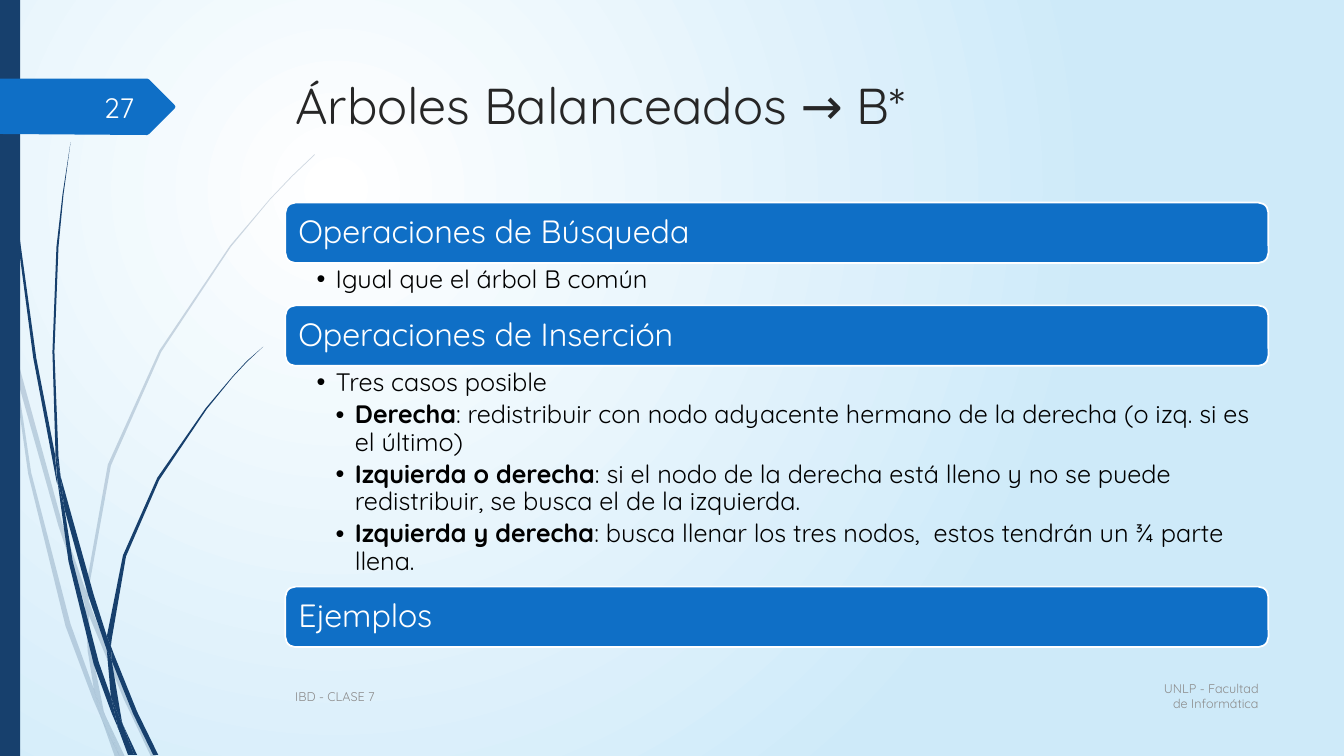
from lxml.etree import SubElement
from pptx import Presentation
from pptx.dml.color import RGBColor
from pptx.enum.shapes import MSO_SHAPE
from pptx.enum.text import MSO_ANCHOR, PP_ALIGN
from pptx.oxml.ns import qn
from pptx.util import Pt

PX = 9144  # 100 px to the inch
FONT = "Quicksand"
NAVY, BLUE, WHITE, GREY = "17406D", "0F6FC6", "FFFFFF", "8C8C8C"
LEFT, WIDE = 283, 975
BAR = 60
STEP = 19

# Outlines of the blades of grass
PALE = [
    [(11, 350), (9, 322), (0, 282), (0, 299), (10, 344)],
    [(58, 522), (84, 599), (85, 586), (62, 520), (14, 345), (17, 376)],
    [(92, 607), (88, 596), (88, 610), (123, 694), (150, 751), (155, 751), (127, 692)],
    [(119, 751), (124, 751), (105, 711)],
    [(93, 683), (70, 619), (31, 469), (17, 376), (11, 350), (28, 470), (65, 621),
     (92, 693), (101, 714), (99, 707)],
    [(84, 599), (87, 646), (93, 683), (96, 692), (105, 711), (103, 706), (91, 646),
     (88, 610), (88, 608)],
    [(88, 584), (110, 462), (160, 349), (229, 245), (268, 198), (290, 175), (312, 154),
     (312, 153), (289, 175), (268, 197), (228, 244), (158, 348), (107, 461), (85, 584),
     (85, 586), (88, 596)],
    [(101, 714), (114, 751), (119, 751)],
    [(88, 608), (88, 610), (88, 596), (85, 586), (84, 599)],
    [(96, 692), (93, 683), (99, 707), (101, 714), (119, 751), (105, 711)],
]
DARK = [
    [(7, 110), (17, 233), (33, 355), (56, 477), (57, 481), (55, 457), (55, 453),
     (36, 355), (19, 232), (8, 109), (5, 48), (4, 0), (3, 0), (4, 48)],
    [(88, 592), (106, 645), (106, 631), (93, 590), (60, 472), (64, 505)],
    [(113, 649), (110, 641), (111, 656), (132, 708), (152, 749), (157, 749), (136, 706)],
    [(110, 691), (98, 657), (72, 556), (64, 505), (57, 477), (68, 557), (93, 659),
     (111, 708), (117, 722), (116, 717)],
    [(60, 472), (58, 453), (54, 349), (58, 245), (63, 193), (70, 141), (62, 193),
     (56, 245), (52, 349), (55, 449)],
    [(133, 749), (136, 749), (122, 719)],
    [(57, 477), (64, 505), (60, 472), (55, 449), (55, 453)],
    [(111, 633), (125, 552), (158, 476), (205, 406), (231, 374), (245, 359), (261, 344),
     (245, 358), (231, 373), (204, 405), (156, 474), (122, 551), (106, 631), (110, 641)],
    [(117, 722), (127, 749), (131, 749)],
    [(106, 645), (110, 691), (116, 706), (122, 719), (121, 716), (111, 656), (109, 651)],
    [(106, 645), (109, 651), (111, 656), (110, 641), (106, 631)],
    [(116, 706), (110, 691), (116, 717), (117, 722), (130, 749), (133, 749), (122, 719)],
]
FLAG = [(173, 108), (148, 133), (146, 134), (0, 133), (0, 78), (146, 78), (148, 79),
        (173, 104), (174, 106)]
PARTS = [
    (201, "Operaciones de Búsqueda", 42, [(1, "", "Igual que el árbol B común")]),
    (303, "Operaciones de Inserción", 219, [
        (1, "", "Tres casos posible"),
        (2, "Derecha", ": redistribuir con nodo adyacente hermano de la derecha "
                       "(o izq. si es el último)"),
        (2, "Izquierda o derecha", ": si el nodo de la derecha está lleno y no se puede "
                                   "redistribuir, se busca el de la izquierda."),
        (2, "Izquierda y derecha", ": busca llenar los tres nodos,  estos tendrán un "
                                   "¾ parte llena."),
    ]),
    (582, "Ejemplos", 0, []),
]


def color(code):
    return RGBColor.from_string(code)


def paint(shape, code):
    shape.shadow.inherit = False
    shape.fill.solid()
    shape.fill.fore_color.rgb = color(code)
    shape.line.fill.background()


def style(run, size, code, bold=False):
    font = run.font
    font.name, font.size, font.bold = FONT, Pt(size), bold
    font.color.rgb = color(code)


def block(slide, kind, x, y, w, h, code):
    shape = slide.shapes.add_shape(kind, x * PX, y * PX, w * PX, h * PX)
    paint(shape, code)
    return shape


def frame(slide, x, y, w, h, pads=(10, 5, 10, 5), anchor=MSO_ANCHOR.MIDDLE):
    """Add a wrapping text box and return its text frame."""
    text = slide.shapes.add_textbox(x * PX, y * PX, w * PX, h * PX).text_frame
    text.word_wrap = True
    text.vertical_anchor = anchor
    text.margin_left, text.margin_top, text.margin_right, text.margin_bottom = (
        pad * PX for pad in pads)
    return text


def label(text, words, size, code, align=PP_ALIGN.LEFT):
    text.text = words
    para = text.paragraphs[0]
    para.alignment = align
    style(para.runs[0], size, code)
    return para


def outline(slide, dots, code, alpha=100):
    pen = slide.shapes.build_freeform(*dots[0], scale=PX)
    pen.add_line_segments(dots[1:], close=True)
    shape = pen.convert_to_shape()
    paint(shape, code)
    if alpha < 100:
        tint = shape.fill._xPr.find(".//" + qn("a:srgbClr"))
        SubElement(tint, qn("a:alpha"), val=str(alpha * 1000))


def glow(slide):
    """Fill the background with a round gradient."""
    fill = slide.background.fill
    fill.gradient()
    for stop, code in zip(fill.gradient_stops, (WHITE, "CEEAF9")):
        stop.color.rgb = color(code)
    line = slide.element.find(".//" + qn("a:lin"))
    grad = line.getparent()
    grad.remove(line)
    ring = SubElement(grad, qn("a:path"), path="circle")
    SubElement(ring, qn("a:fillToRect"), l="50000", t="50000", r="100000", b="100000")


def bar(slide, y, words):
    shape = block(slide, MSO_SHAPE.ROUNDED_RECTANGLE, LEFT, y, WIDE, BAR, BLUE)
    shape.line.color.rgb = color(WHITE)
    shape.line.width = Pt(1.25)
    text = frame(slide, LEFT + 3, y + 3, WIDE - 6, BAR - 6, (10, 10, 10, 10))
    label(text, words, 23, WHITE).line_spacing = 0.9


def points(slide, y, h, items):
    text = frame(slide, LEFT, y, WIDE, h, (31, 3, 18, 3), MSO_ANCHOR.TOP)
    for i, (level, lead, words) in enumerate(items):
        para = text.add_paragraph() if i else text.paragraphs[0]
        para.level = level
        para.line_spacing = 0.9
        para.space_after = Pt(3.6)
        props = para._p.get_or_add_pPr()
        props.set("marL", str(level * STEP * PX))
        props.set("indent", str(-STEP * PX))
        SubElement(props, qn("a:buFont"), typeface="Arial")
        SubElement(props, qn("a:buChar"), char="•")
        for part, bold in ((lead, True), (words, False)):
            if part:
                run = para.add_run()
                run.text = part
                style(run, 18, "000000", bold)


def main():
    deck = Presentation()
    deck.slide_width, deck.slide_height = 1333 * PX, 750 * PX
    slide = deck.slides.add_slide(deck.slide_layouts[6])
    glow(slide)
    for blades, alpha in ((PALE, 20), (DARK, 100)):
        for blade in blades:
            outline(slide, blade, NAVY, alpha)
    block(slide, MSO_SHAPE.RECTANGLE, 0, 0, 20, 750, NAVY)
    outline(slide, FLAG, BLUE)
    title = frame(slide, 283, 69, WIDE, 140, anchor=MSO_ANCHOR.TOP)
    label(title, "Árboles Balanceados → B*", 36, "262626")
    for y, head, h, items in PARTS:
        bar(slide, y, head)
        if items:
            points(slide, y + BAR + 1, h, items)
    label(frame(slide, 1133, 670, 125, 41), "UNLP - Facultad de Informática", 9, GREY,
          PP_ALIGN.RIGHT)
    label(frame(slide, LEFT, 671, 833, 40), "IBD - CLASE 7", 9, GREY)
    label(frame(slide, 58, 86, 85, 40), "27", 20, "FEFFFF", PP_ALIGN.RIGHT)
    deck.save("out.pptx")


if __name__ == "__main__":
    main()
